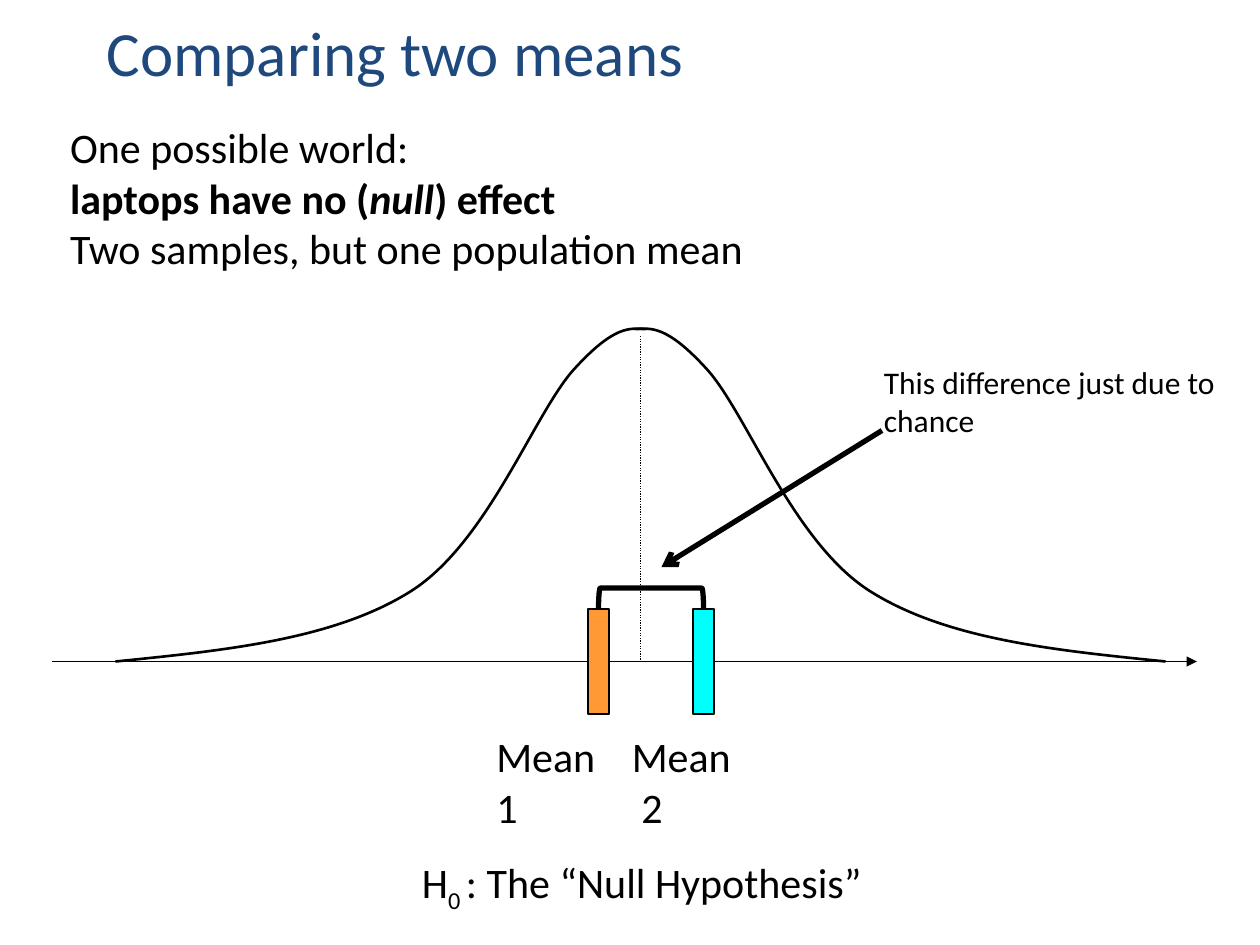
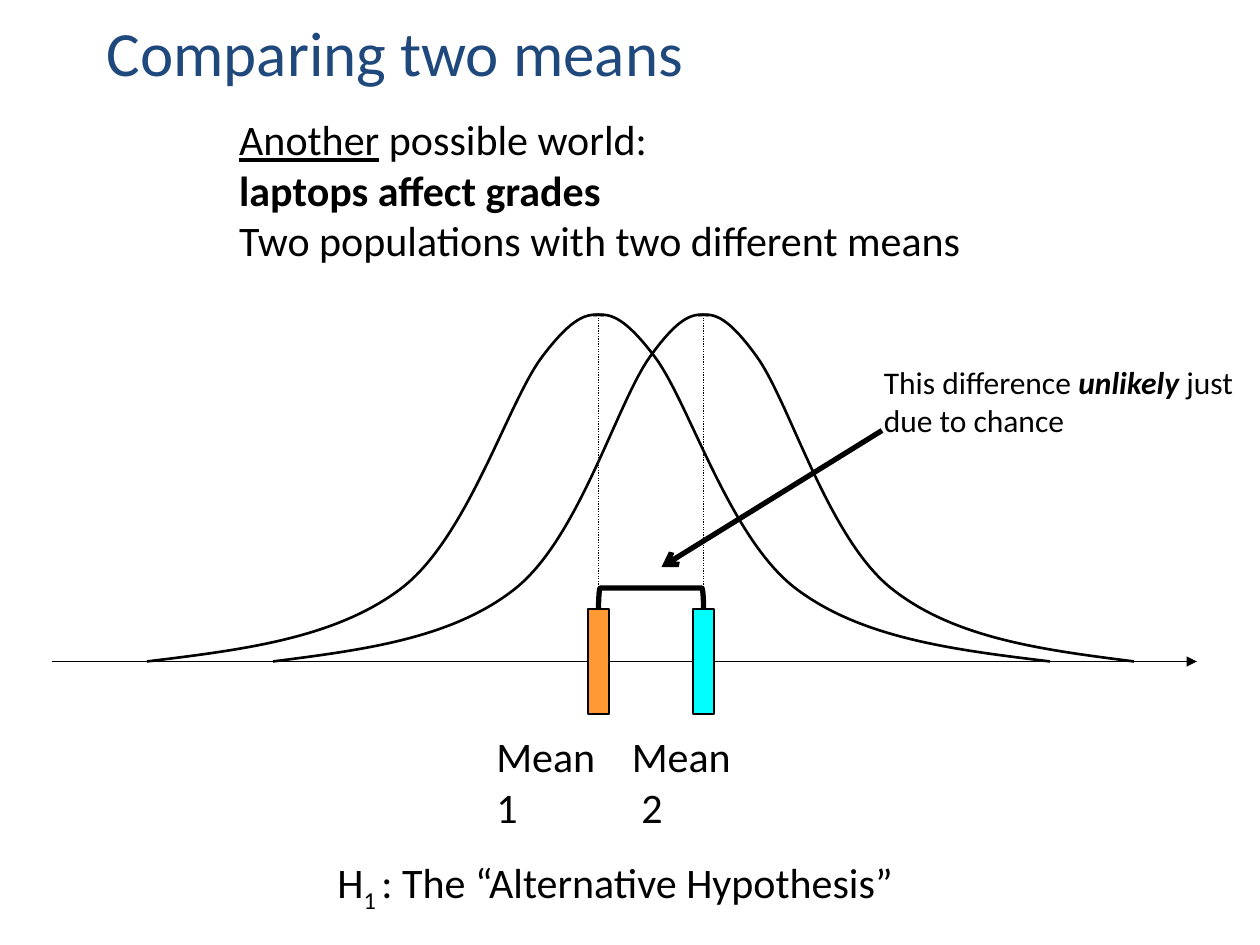
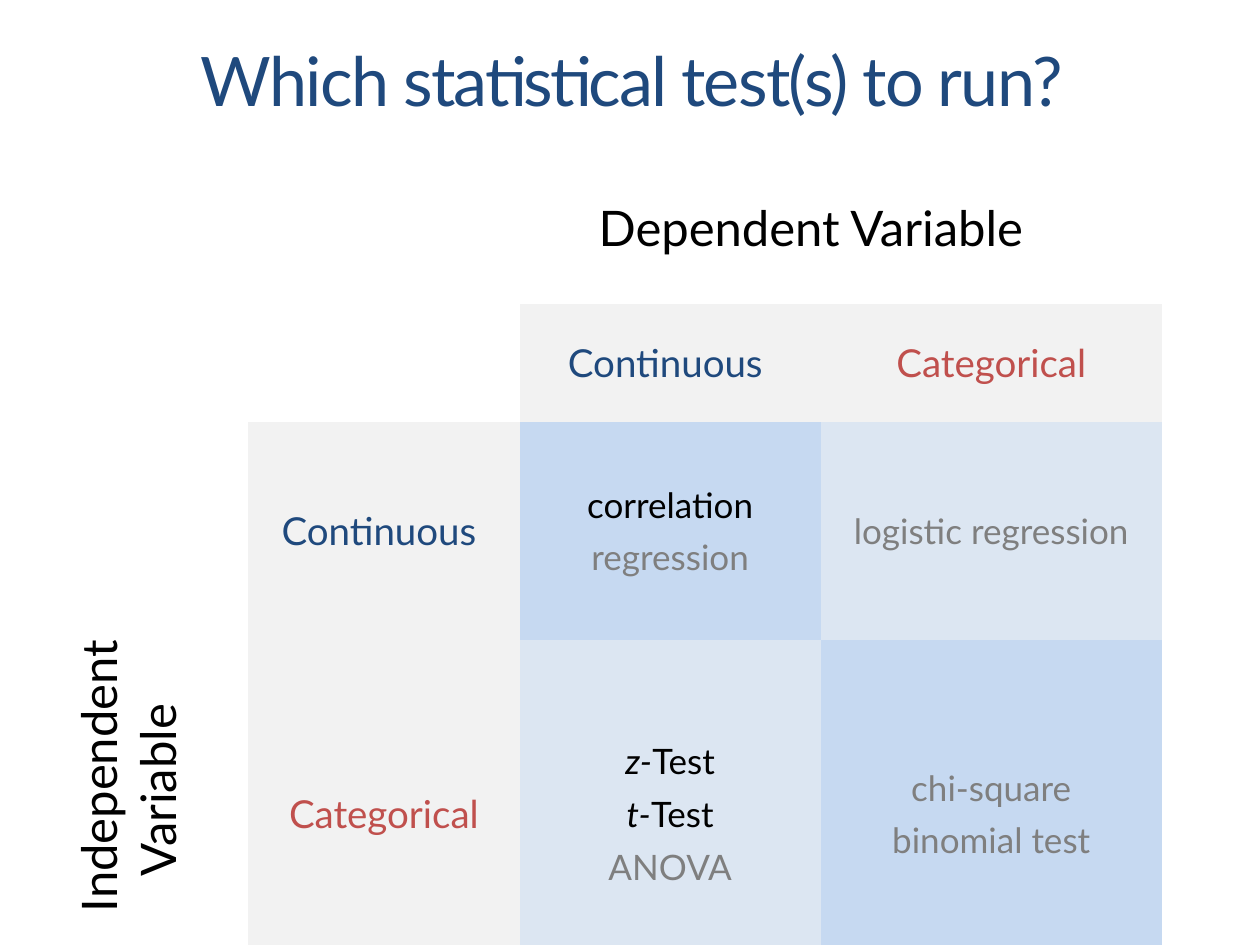
from typing import NamedTuple

from lxml import etree
from pptx import Presentation
from pptx.dml.color import RGBColor
from pptx.enum.dml import MSO_LINE
from pptx.enum.shapes import MSO_CONNECTOR, MSO_SHAPE
from pptx.enum.text import MSO_ANCHOR, PP_ALIGN
from pptx.oxml.ns import qn
from pptx.util import Pt

STRAIGHT = MSO_CONNECTOR.STRAIGHT
RECTANGLE, BRACKET = MSO_SHAPE.RECTANGLE, MSO_SHAPE.LEFT_BRACKET
DOTTED = MSO_LINE.ROUND_DOT
TOP, MIDDLE = MSO_ANCHOR.TOP, MSO_ANCHOR.MIDDLE
LEFT, CENTER = PP_ALIGN.LEFT, PP_ALIGN.CENTER

COLORS = {
    "ink": "000000", "title": "1F497D", "red": "C0504D", "muted": "7F7F7F",
    "mean1": "FF9933", "mean2": "00FFFF",
    "header": "F2F2F2", "strong": "C6D9F1", "pale": "DCE6F2",
}
PLOT_FONT, TABLE_FONT = "Calibri", "Lato"
NO_GRID_STYLE = "{2D5ABB26-0587-4C30-8999-92F81FD0307C}"

# Half a bell as Bezier points: across (0 to 1) and up (0 to 1).
HALF_BELL = [(0, 0), (.207, .033), (.413, .065), (.558, .21), (.703, .356),
             (.79, .74), (.865, .87), (.94, 1), (.97, .993), (1, .989)]
BELL_OVERLAP = 3


class Box(NamedTuple):
    left: float
    top: float
    width: float
    height: float

    def points(self):
        return [Pt(length) for length in self]


PLOT = Box(30, 178, 654, 200)
TITLE = Box(54, 6, 612, 90)


def color(name):
    return RGBColor.from_string(COLORS[name])


def write(frame, paragraphs, size, font, ink="ink", align=LEFT):
    """Fill a text frame; a paragraph is a list of (text, style) spans."""
    for number, spans in enumerate(paragraphs):
        para = frame.paragraphs[0] if number == 0 else frame.add_paragraph()
        para.alignment = align
        for text, style in spans:
            span = para.add_run()
            span.text = text
            span.font.size = Pt(size)
            span.font.name = font
            span.font.color.rgb = color(style.get("ink", ink))
            span.font.bold = style.get("bold")
            span.font.italic = style.get("italic")
            span.font.underline = style.get("underline")
            for attribute in ("baseline", "spc"):
                if attribute in style:
                    span.font._element.set(attribute, style[attribute])


def add_text(page, box, paragraphs, size, font=PLOT_FONT, ink="ink",
             align=LEFT, anchor=TOP):
    frame = page.shapes.add_textbox(*box.points()).text_frame
    frame.word_wrap = True
    frame.vertical_anchor = anchor
    write(frame, paragraphs, size, font, ink, align)
    return frame


def add_line(page, start, end, width=0.75, head=None, dash=None):
    line = page.shapes.add_connector(
        STRAIGHT, *[Pt(length) for length in (*start, *end)])
    line.line.color.rgb = color("ink")
    line.line.width = Pt(width)
    if dash:
        line.line.dash_style = dash
    if head:
        outline = line._element.spPr.find(qn("a:ln"))
        etree.SubElement(outline, qn("a:tailEnd"), type=head)
    etree.SubElement(line._element.spPr, qn("a:effectLst"))


def style_shape(shape, width, fill=None):
    shape.shadow.inherit = False
    shape.line.color.rgb = color("ink")
    shape.line.width = Pt(width)
    if fill:
        shape.fill.solid()
        shape.fill.fore_color.rgb = color(fill)
    else:
        shape.fill.background()


def smooth_outline(shape):
    """Turn every three line segments of a freeform into one Bezier curve."""
    segments = list(shape._element.iter(qn("a:lnTo")))
    for first in range(0, len(segments), 3):
        curve = etree.Element(qn("a:cubicBezTo"))
        segments[first].addprevious(curve)
        for segment in segments[first:first + 3]:
            curve.append(segment[0])
            segment.getparent().remove(segment)


def add_bell(page, box):
    """Two mirrored halves that overlap a little at the peak."""
    bell = page.shapes.add_group_shape()
    half_width = box.width / 2 + BELL_OVERLAP
    for edge, direction in ((box.left, 1), (box.left + box.width, -1)):
        outline = [(Pt(edge + direction * across * half_width),
                    Pt(box.top + (1 - up) * box.height))
                   for across, up in HALF_BELL]
        builder = bell.shapes.build_freeform(*outline[0])
        builder.add_line_segments(outline[1:], close=False)
        half = builder.convert_to_shape()
        smooth_outline(half)
        style_shape(half, 1.5)


def add_means(page, plot):
    """Axis and the two sample means with their labels."""
    axis = plot.top + plot.height
    add_line(page, (plot.left, axis), (plot.left + plot.width, axis),
             head="triangle")
    labels = ((306, "mean1", 246.5, 90, "1"), (366, "mean2", 324, 83, " 2"))
    for offset, fill, label_left, label_width, number in labels:
        marker = Box(plot.left + offset, axis - 30, 12, 60)
        style_shape(page.shapes.add_shape(RECTANGLE, *marker.points()),
                    0.75, fill)
        add_text(page, Box(plot.left + label_left, axis + 36,
                           label_width, 65),
                 [[("Mean", {})], [(number, {})]], 24)


def add_note(page, box, spans):
    """Remark with an arrow to the bracket that spans the two means."""
    note = page.shapes.add_group_shape()
    add_text(note, box, [spans], 18)
    add_line(note, (box.left + 6, box.top + 42),
             (box.left - 120, box.top + 120), width=3, head="arrow")
    bracket = note.shapes.add_shape(
        BRACKET, *Box(box.left - 132, box.top + 108, 12, 60).points())
    bracket.rotation = 90
    style_shape(bracket, 3)


def build_world(deck, claim_box, claim, bells, center_lines,
                note_width, note, hypothesis_box, symbol, hypothesis):
    page = deck.slides.add_slide(deck.slide_layouts[6])
    for center, top, bottom in center_lines:
        add_line(page, (center, top), (center, bottom), dash=DOTTED)
    add_means(page, PLOT)
    for bell in bells:
        add_bell(page, bell)
    title = add_text(page, TITLE, [[("Comparing two means", {})]], 36,
                     ink="title")
    title.margin_top = Pt(1.5)
    add_text(page, claim_box, claim, 24)
    add_note(page, Box(498, 204, note_width, 108), note)
    add_text(page, hypothesis_box,
             [[("H", {}), (symbol + " ", {"baseline": "-25000"}),
               (": The “" + hypothesis + "”", {})]], 24)


def set_cell(cell, paragraphs, size, fill=None, ink="ink", align=CENTER,
             anchor=MIDDLE, indents=(), space_after=None):
    if fill:
        cell.fill.solid()
        cell.fill.fore_color.rgb = color(fill)
    else:
        cell.fill.background()
    cell.vertical_anchor = anchor
    write(cell.text_frame, paragraphs, size, TABLE_FONT, ink, align)
    for para, indent in zip(cell.text_frame.paragraphs, indents):
        properties = para._p.get_or_add_pPr()
        properties.set("marL", str(Pt(indent)))
        properties.set("indent", "0")
    if space_after:
        for para in cell.text_frame.paragraphs:
            para.space_after = Pt(space_after)


def add_test_table(page, box):
    columns, rows = (105.75, 155.25, 172, 195), (87.3, 67.5, 124.5, 124.5)
    table = page.shapes.add_table(
        len(rows), len(columns), *box.points()).table
    table.first_row = table.horz_banding = False
    table._tbl.tblPr.find(qn("a:tableStyleId")).text = NO_GRID_STYLE
    for column, width in zip(table.columns, columns):
        column.width = Pt(width)
    for row, height in zip(table.rows, rows):
        row.height = Pt(height)

    side, head = table.cell(0, 0), table.cell(0, 1)
    side.merge(table.cell(3, 0))
    head.merge(table.cell(0, 3))
    set_cell(side, [[("Independent", {})], [("Variable", {})]], 28,
             align=LEFT, anchor=TOP, indents=(36, 56.5))
    side._tc.get_or_add_tcPr().set("vert", "vert270")
    set_cell(head, [[("Dependent Variable", {})]], 28, indents=(121,))
    set_cell(table.cell(1, 1), [], 22)

    kinds = (("Continuous ", "title"), ("Categorical", "red"))
    for number, (kind, ink) in enumerate(kinds, 2):
        for cell in (table.cell(1, number), table.cell(number, 1)):
            set_cell(cell, [[(kind, {})]], 22, "header", ink)

    muted, italic = {"ink": "muted"}, {"italic": True}
    tests = {
        (2, 2): [[("correlation", {})], [("regression", muted)]],
        (2, 3): [[("logistic regression", muted)]],
        (3, 2): [[("z-", italic), ("Test", {})],
                 [("t-", italic), ("Test", {})], [("ANOVA", muted)]],
        (3, 3): [[("chi-square", muted)], [("binomial test", muted)]],
    }
    for (row, column), names in tests.items():
        set_cell(table.cell(row, column), names, 20,
                 "strong" if row == column else "pale",
                 space_after=6 if len(names) > 1 else None)


def build_test_choice(deck):
    page = deck.slides.add_slide(deck.slide_layouts[6])
    add_test_table(page, Box(36, 86.4, 628, 403.8))
    title = add_text(page, Box(54, 21.6, 614, 53.3),
                     [[("Which statistical test(s) to run?",
                        {"spc": "-100"})]],
                     39, TABLE_FONT, "title", CENTER, MIDDLE)
    title.paragraphs[0].line_spacing = 0.9


def main():
    deck = Presentation()
    deck.slide_width, deck.slide_height = Pt(720), Pt(540)
    bold = {"bold": True}
    bold_italic = {"bold": True, "italic": True}
    build_world(
        deck, Box(33, 66, 654, 94.5),
        [[("One possible world:", {})],
         [("laptops have no (", bold), ("null", bold_italic),
          (") effect", bold)],
         [("Two samples, but one population mean", {})]],
        [Box(66, 186, 600, 192)], [(366, 192, 378)],
        210, [("This difference just due to chance", {})],
        Box(234, 486, 300, 36), "0", "Null Hypothesis")
    build_world(
        deck, Box(129.6, 61.4, 502.5, 94.5),
        [[("Another", {"underline": True}), (" possible world:", {})],
         [("laptops affect grades", bold)],
         [("Two populations with two different means", {})]],
        [Box(84, 178, 516, 200), Box(156, 178, 492, 200)],
        [(402, 180, 408), (342, 180, 372)],
        222, [("This difference ", {}), ("unlikely ", bold_italic),
              ("just due to chance", {})],
        Box(185.75, 486, 384.5, 36), "1", "Alternative Hypothesis")
    build_test_choice(deck)
    deck.save("out.pptx")


if __name__ == "__main__":
    main()
